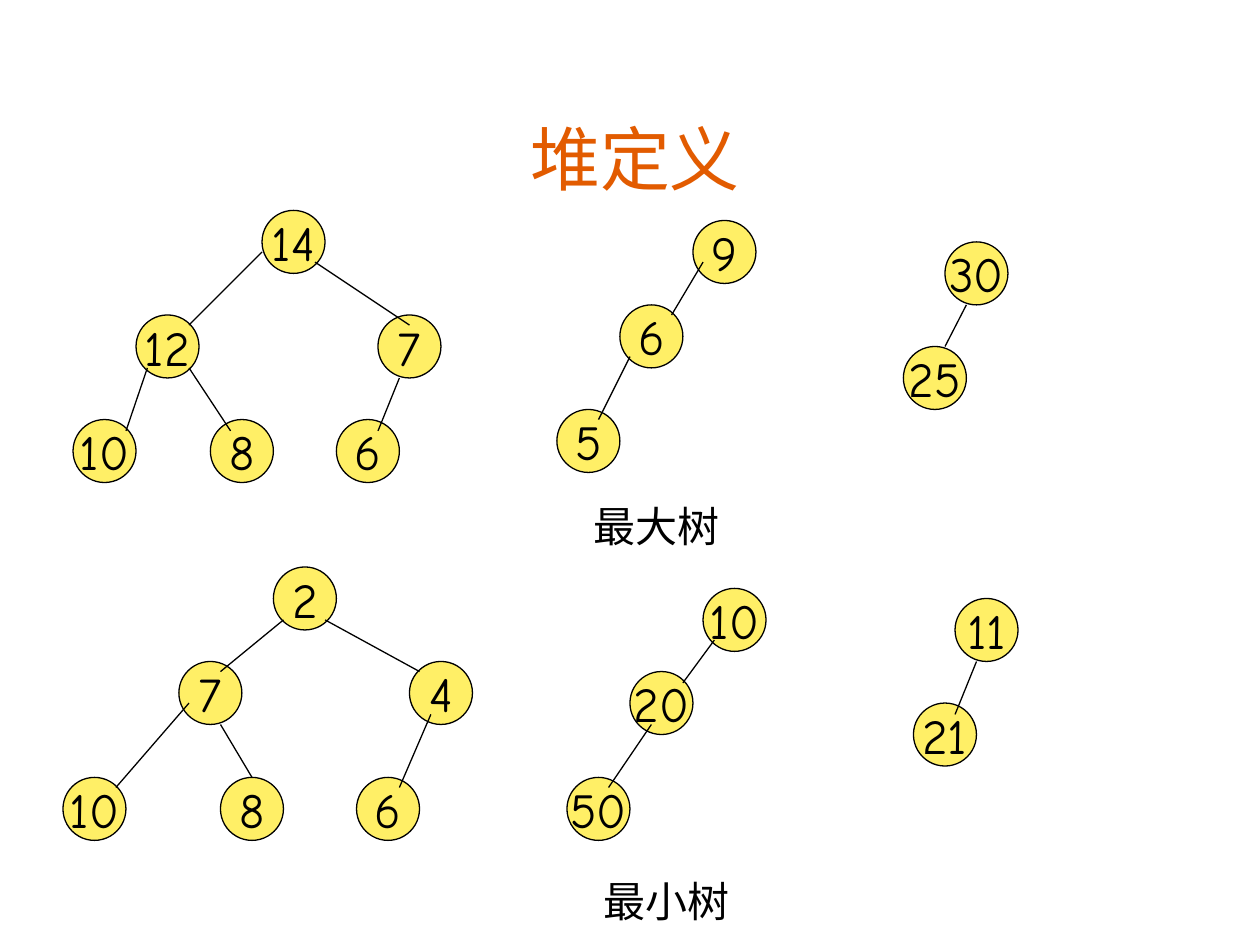
from lxml import etree
from pptx import Presentation
from pptx.dml.color import RGBColor
from pptx.enum.shapes import MSO_CONNECTOR, MSO_SHAPE
from pptx.enum.text import MSO_ANCHOR, MSO_AUTO_SIZE, PP_ALIGN
from pptx.oxml.ns import qn
from pptx.util import Inches, Pt

STRAIGHT = MSO_CONNECTOR.STRAIGHT
CIRCLE = MSO_SHAPE.FLOWCHART_CONNECTOR
MIDDLE = MSO_ANCHOR.MIDDLE
BOTTOM = MSO_ANCHOR.BOTTOM
CENTER = PP_ALIGN.CENTER
NO_AUTOFIT = MSO_AUTO_SIZE.NONE
FIT_SHAPE = MSO_AUTO_SIZE.SHAPE_TO_FIT_TEXT

FONT = "Comic Neue"
BLACK = "000000"
YELLOW = "FFEF66"
ORANGE = "E25B00"
NODE_SIZE = 0.5
LINE_WIDTH = 0.75

MAX_NODES = [
    ("14", 2.08, 1.67), ("12", 1.08, 2.5), ("10", 0.58, 3.33),
    ("8", 1.67, 3.33), ("7", 3, 2.5), ("6", 2.67, 3.33),
    ("9", 5.5, 1.75), ("6", 4.92, 2.42), ("5", 4.42, 3.25),
    ("30", 7.5, 1.92), ("25", 7.17, 2.75),
]
MAX_EDGES = [
    (2.08, 2, 1.5, 2.58), (1.17, 2.92, 1, 3.42), (1.5, 2.92, 1.83, 3.42),
    (3.17, 3, 3, 3.42), (2.5, 2.08, 3.25, 2.58),
    (5.58, 2.08, 5.33, 2.5), (5, 2.83, 4.75, 3.33),
    (7.67, 2.42, 7.5, 2.75),
]
MIN_NODES = [
    ("2", 2.17, 4.5), ("7", 1.42, 5.25), ("10", 0.5, 6.17),
    ("8", 1.75, 6.17), ("4", 3.25, 5.25), ("6", 2.83, 6.17),
    ("10", 5.58, 4.67), ("20", 5, 5.33), ("50", 4.5, 6.17),
    ("11", 7.58, 4.75), ("21", 7.25, 5.58),
]
MIN_EDGES = [
    (7.75, 5.25, 7.58, 5.67),
    (5.67, 5.08, 5.42, 5.42), (5.17, 5.75, 4.83, 6.25),
    (2.25, 4.92, 1.75, 5.33), (2.58, 4.92, 3.33, 5.33),
    (1.5, 5.58, 0.92, 6.25), (1.75, 5.75, 2, 6.17),
    (3.42, 5.67, 3.17, 6.25),
]


def color(value):
    return RGBColor.from_string(value)


def write_text(frame, text, size, value):
    para = frame.paragraphs[0]
    para.text = text
    para.alignment = CENTER
    para.font.name = FONT
    para.font.size = Pt(size)
    para.font.color.rgb = color(value)


def outline(shape):
    shape.line.color.rgb = color(BLACK)
    shape.line.width = Pt(LINE_WIDTH)


def set_title(page, text):
    title = page.shapes.title
    title.left, title.top = Inches(0.75), Inches(0.75)
    title.width, title.height = Inches(8.58), Inches(0.83)
    frame = title.text_frame
    frame.auto_size = NO_AUTOFIT
    frame.vertical_anchor = BOTTOM
    frame.margin_left = frame.margin_right = 0
    frame.margin_top = frame.margin_bottom = 0
    write_text(frame, text, 40, ORANGE)


def add_node(group, label, left, top):
    node = group.shapes.add_shape(
        CIRCLE, Inches(left), Inches(top), Inches(NODE_SIZE), Inches(NODE_SIZE))
    node.shadow.inherit = False
    node.fill.solid()
    node.fill.fore_color.rgb = color(YELLOW)
    outline(node)
    frame = node.text_frame
    frame.word_wrap = False
    frame.vertical_anchor = MIDDLE
    write_text(frame, label, 28, BLACK)


def add_edge(group, *ends):
    edge = group.shapes.add_connector(STRAIGHT, *map(Inches, ends))
    outline(edge)
    etree.SubElement(edge._element.spPr, qn("a:effectLst"))


def add_forest(page, nodes, edges):
    group = page.shapes.add_group_shape()
    for node in nodes:
        add_node(group, *node)
    for edge in edges:
        add_edge(group, *edge)


def add_caption(page, text, left, top):
    box = page.shapes.add_textbox(
        Inches(left), Inches(top), Inches(3.42), Inches(0.5))
    frame = box.text_frame
    frame.word_wrap = True
    frame.auto_size = FIT_SHAPE
    write_text(frame, text, 24, BLACK)


def main():
    deck = Presentation()
    deck.slide_width, deck.slide_height = Inches(10), Inches(7.5)
    page = deck.slides.add_slide(deck.slide_layouts[5])
    set_title(page, "堆定义")
    add_forest(page, MAX_NODES, MAX_EDGES)
    add_forest(page, MIN_NODES, MIN_EDGES)
    add_caption(page, "最大树", 3.5, 3.92)
    add_caption(page, "最小树", 3.58, 6.9)
    deck.save("out.pptx")


if __name__ == "__main__":
    main()
